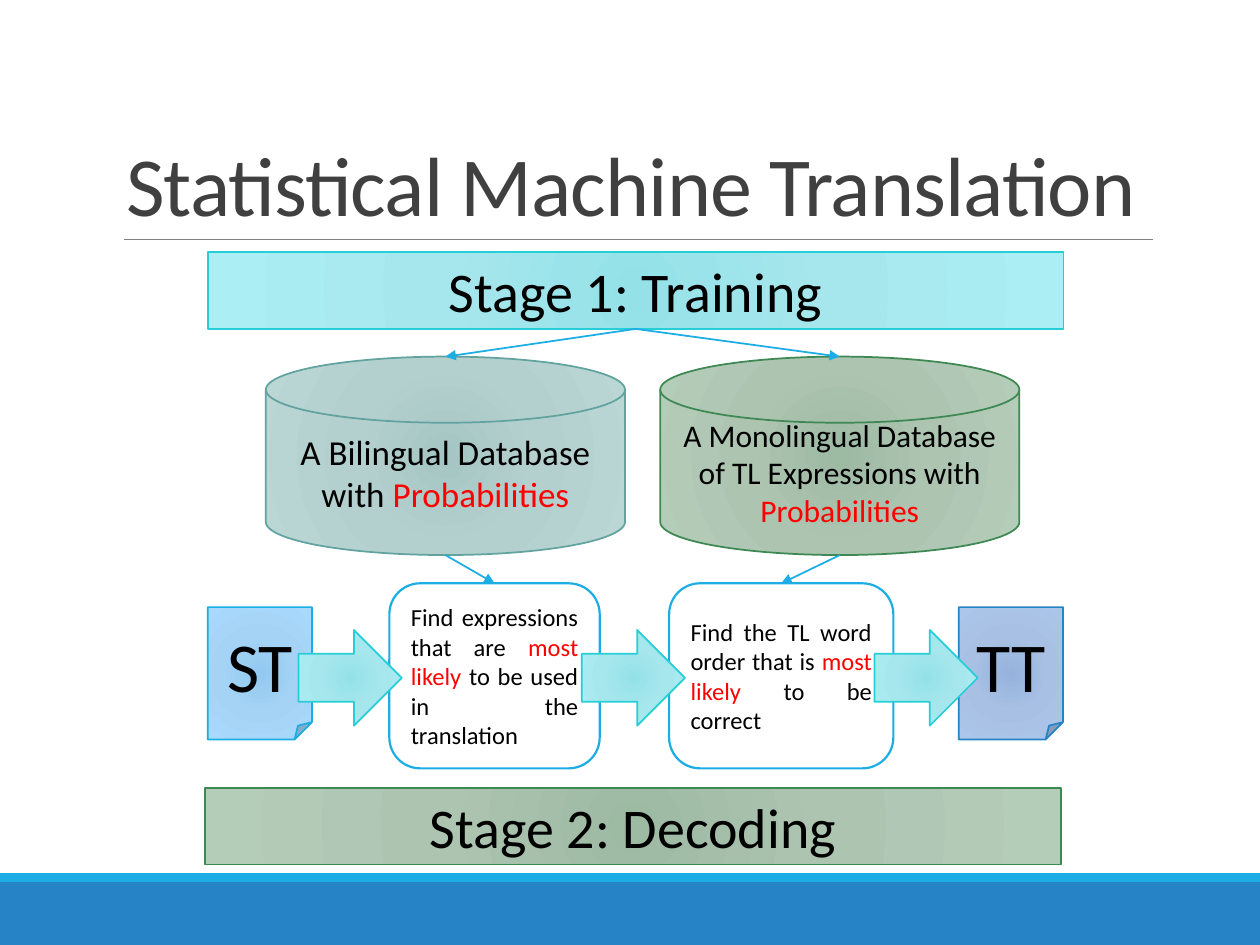
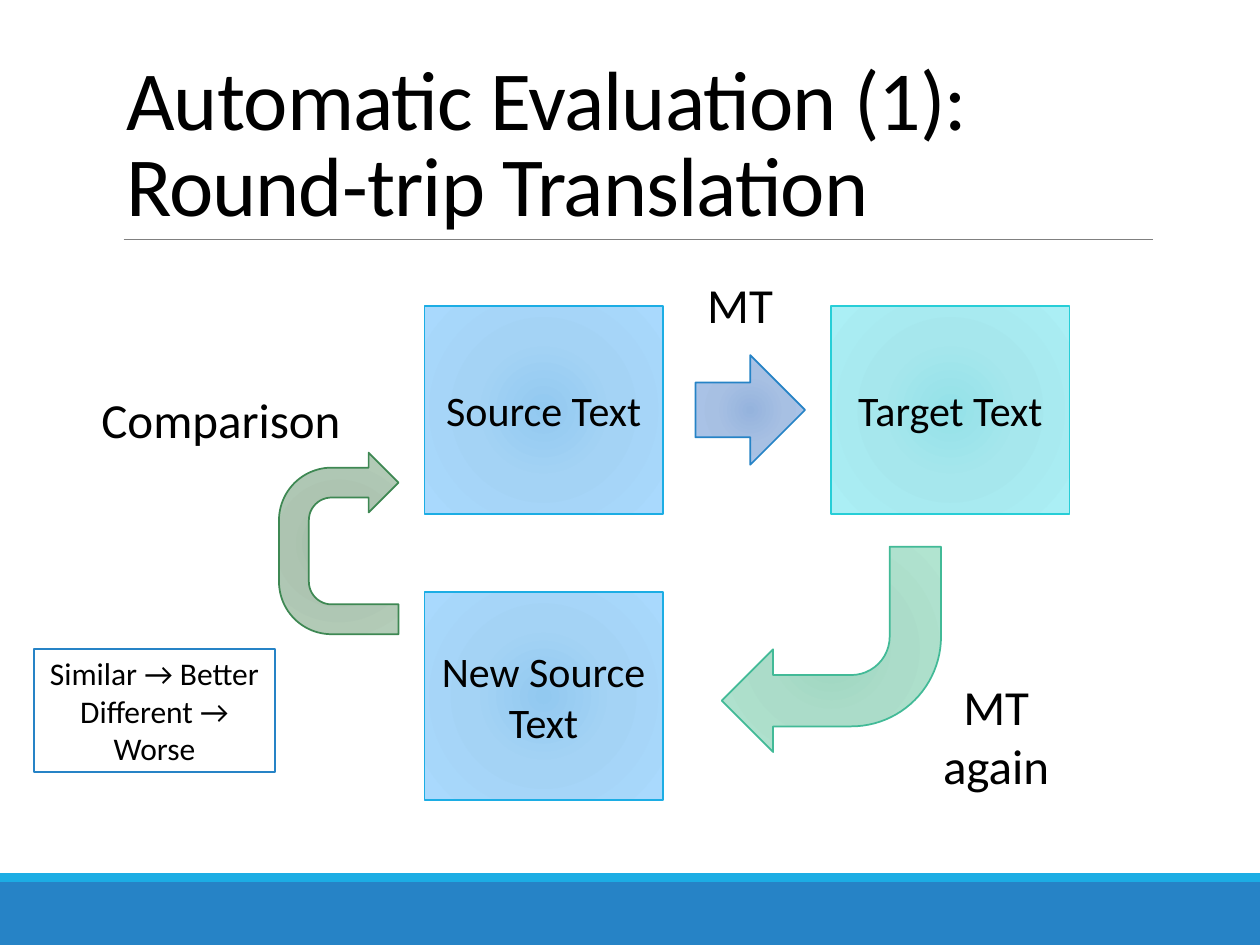
"""Build two slides on statistical machine translation and its evaluation."""
from lxml import etree
from pptx import Presentation
from pptx.dml.color import RGBColor
from pptx.enum.shapes import MSO_CONNECTOR, MSO_SHAPE
from pptx.enum.text import MSO_ANCHOR, MSO_AUTO_SIZE, PP_ALIGN
from pptx.oxml import parse_xml
from pptx.oxml.ns import nsdecls, qn
from pptx.util import Cm, Pt

RECTANGLE = MSO_SHAPE.RECTANGLE
ROUNDED = MSO_SHAPE.ROUNDED_RECTANGLE
PAGE = MSO_SHAPE.FOLDED_CORNER
DISK = MSO_SHAPE.FLOWCHART_MAGNETIC_DISK
RIGHT_ARROW = MSO_SHAPE.RIGHT_ARROW
BENT_ARROW = MSO_SHAPE.BENT_ARROW
U_TURN_ARROW = MSO_SHAPE.U_TURN_ARROW
STRAIGHT = MSO_CONNECTOR.STRAIGHT
LEFT, CENTER, JUSTIFY = PP_ALIGN.LEFT, PP_ALIGN.CENTER, PP_ALIGN.JUSTIFY
TOP, MIDDLE, BOTTOM = MSO_ANCHOR.TOP, MSO_ANCHOR.MIDDLE, MSO_ANCHOR.BOTTOM
SITE_TOP, SITE_BOTTOM = 0, 2

FONT = "Calibri"
TITLE_ONLY = 5
COLORS = {
    "black": "000000",
    "white": "FFFFFF",
    "dark gray": "404040",
    "rule": "808080",
    "highlight": "FF0000",
    "sky": "1CADE4",
    "blue": "2683C6",
    "cyan": "27CED7",
    "mint": "42BA97",
    "green": "3E8853",
    "teal": "62A39F",
}
GLOWS = {
    "sky": ("92C9F0", "A4D3F5", "A9D9FD"),
    "blue": ("95B3DD", "A7C0E3", "ACC6EB"),
    "cyan": ("94E1E8", "A6E7ED", "ABEFF5"),
    "mint": ("9BD5BE", "ABDCC9", "B1E4D0"),
    "green": ("9DBAA3", "ADC4B1", "B4CDB9"),
    "teal": ("A5C6C4", "B4D0CE", "BAD7D5"),
}
GLOW_POSITIONS = (0, 45000, 100000)


def rgb(name):
    """Return the named colour."""
    return RGBColor.from_string(COLORS[name])


def write_text(shape, text, size=18, color="black", align=CENTER, anchor=MIDDLE,
               line_spacing=None, tracking=None):
    """Write text, one paragraph a line, with *starred* words highlighted."""
    frame = shape.text_frame
    frame.word_wrap = True
    frame.auto_size = MSO_AUTO_SIZE.NONE
    frame.vertical_anchor = anchor
    for index, line in enumerate(text.split("\n")):
        paragraph = frame.add_paragraph() if index else frame.paragraphs[0]
        paragraph.alignment = align
        if line_spacing:
            paragraph.line_spacing = line_spacing
        for part, words in enumerate(line.split("*")):
            if not words:
                continue
            run = paragraph.add_run()
            run.text = words
            run.font.name = FONT
            run.font.size = Pt(size)
            run.font.color.rgb = rgb("highlight" if part % 2 else color)
            if tracking:
                run._r.get_or_add_rPr().set("spc", str(tracking))


def add_glow(shape, color):
    """Fill a shape with a gradient that spreads from its centre."""
    stops = "".join(
        f'<a:gs pos="{position}"><a:srgbClr val="{value}"/></a:gs>'
        for position, value in zip(GLOW_POSITIONS, GLOWS[color]))
    gradient = parse_xml(
        f'<a:gradFill {nsdecls("a")} rotWithShape="1"><a:gsLst>{stops}</a:gsLst>'
        '<a:path path="circle"><a:fillToRect l="100000" t="100000" '
        'r="100000" b="100000"/></a:path></a:gradFill>')
    properties = shape._element.spPr
    properties.replace(properties.find(qn("a:solidFill")), gradient)


def add_figure(slide, kind, box, color, text="", fill=None, line_width=1.0,
               rotation=0, **text_format):
    """Add a preset shape with a flat fill, or a glow if none is named."""
    shape = slide.shapes.add_shape(kind, *map(Cm, box))
    shape.shadow.inherit = False
    shape.rotation = rotation
    shape.fill.solid()
    if fill:
        shape.fill.fore_color.rgb = rgb(fill)
    else:
        add_glow(shape, color)
    if line_width:
        shape.line.color.rgb = rgb(color)
        shape.line.width = Pt(line_width)
    else:
        shape.line.fill.background()
    if text:
        write_text(shape, text, **text_format)
    return shape


def add_label(slide, box, text):
    """Add a caption without a frame."""
    label = slide.shapes.add_textbox(*map(Cm, box))
    write_text(label, text, size=28, anchor=TOP)


def add_line(slide, start, end, color="sky", width=1.0, arrow=False):
    """Add a straight connector, with an arrowhead at its end if asked."""
    line = slide.shapes.add_connector(STRAIGHT, *map(Cm, (*start, *end)))
    line.line.color.rgb = rgb(color)
    line.line.width = Pt(width)
    if arrow:
        etree.SubElement(line.line._get_or_add_ln(), qn("a:tailEnd"), type="triangle")
    etree.SubElement(line._element.spPr, qn("a:effectLst"))
    return line


def add_titled_slide(presentation, title, color="black"):
    """Add a slide with its title, rule and bottom bands."""
    slide = presentation.slides.add_slide(presentation.slide_layouts[TITLE_ONLY])
    add_figure(slide, RECTANGLE, (0, 17.78, 25.4, 1.27), "blue", fill="blue", line_width=0)
    add_figure(slide, RECTANGLE, (0, 17.6, 25.4, 0.18), "sky", fill="sky", line_width=0)
    add_line(slide, (2.49, 4.83), (23.24, 4.83), color="rule", width=0.5)
    heading = slide.shapes.title
    heading.left, heading.top, heading.width, heading.height = map(Cm, (2.29, 0.79, 20.95, 4.04))
    write_text(heading, title, size=48, color=color, align=LEFT, anchor=BOTTOM,
               line_spacing=0.85, tracking=-50)
    return slide


def build_translation_slide(presentation):
    """Show the training and decoding stages."""
    slide = add_titled_slide(presentation, "Statistical Machine Translation", "dark gray")
    for left, color, name in ((4.19, "sky", "ST"), (19.33, "blue", "TT")):
        add_figure(slide, PAGE, (left, 12.24, 2.1, 2.67), color, name, size=40)

    steps = [
        add_figure(slide, ROUNDED, (left, 11.76, width, 3.73), "sky", text, fill="white",
                   line_width=1.25, size=14, align=JUSTIFY)
        for left, width, text in (
            (7.85, 4.24, "Find expressions that are *most likely* to be used in the translation"),
            (13.49, 4.52, "Find the TL word order that is *most likely* to be correct"))]
    for left in (17.63, 11.73, 6.02):
        add_figure(slide, RIGHT_ARROW, (left, 12.7, 2.08, 1.93), "cyan")

    add_figure(slide, RECTANGLE, (4.14, 15.88, 17.25, 1.55), "green", "Stage 2: Decoding", size=32)
    training = add_figure(slide, RECTANGLE, (4.19, 5.08, 17.25, 1.55), "cyan",
                          "Stage 1: Training", size=32)

    disk_top, disk_width, disk_height = 7.19, 7.24, 4
    databases = (
        (5.36, "teal", 20, "A Bilingual Database with *Probabilities*"),
        (13.31, "green", 18, "A Monolingual Database of TL Expressions with *Probabilities*"))
    for (left, color, size, text), step in zip(databases, steps):
        add_figure(slide, DISK, (left, disk_top, disk_width, disk_height), color, text, size=size)
        top = (left + disk_width / 2, disk_top)
        bottom = (top[0], disk_top + disk_height)
        add_line(slide, top, top, arrow=True).begin_connect(training, SITE_BOTTOM)
        add_line(slide, bottom, bottom, arrow=True).end_connect(step, SITE_TOP)


def build_evaluation_slide(presentation):
    """Show the round trip from source text to target text and back."""
    slide = add_titled_slide(presentation, "Automatic Evaluation (1): Round-trip Translation")
    for left, top, color, text in (
            (8.56, 6.17, "sky", "Source Text"),
            (16.76, 6.17, "cyan", "Target Text"),
            (8.56, 11.94, "sky", "New Source Text")):
        add_figure(slide, RECTANGLE, (left, top, 4.8, 4.19), color, text, size=24)

    add_figure(slide, RIGHT_ARROW, (14.02, 7.16, 2.21, 2.21), "blue")
    add_figure(slide, BENT_ARROW, (14.55, 11.02, 4.42, 4.14), "mint", rotation=180)
    comparison = add_figure(slide, U_TURN_ARROW, (5, 9.75, 3.66, 2.41), "green", rotation=270)
    for index, value in enumerate((0.25, 0.25, 0.25, 0.44, 1)):
        comparison.adjustments[index] = value

    add_label(slide, (13.84, 5.41, 2.16, 1.45), "MT")
    add_label(slide, (18.44, 13.51, 3.28, 2.64), "MT again")
    add_label(slide, (1.57, 7.72, 5.77, 1.45), "Comparison")
    add_figure(slide, RECTANGLE, (0.69, 13.08, 4.85, 2.49), "blue",
               "Similar → Better\nDifferent → Worse", fill="white", line_width=1.25)


def main():
    """Build and save the presentation."""
    presentation = Presentation()
    presentation.slide_width, presentation.slide_height = Cm(25.4), Cm(19.05)
    build_translation_slide(presentation)
    build_evaluation_slide(presentation)
    presentation.save("out.pptx")


if __name__ == "__main__":
    main()
